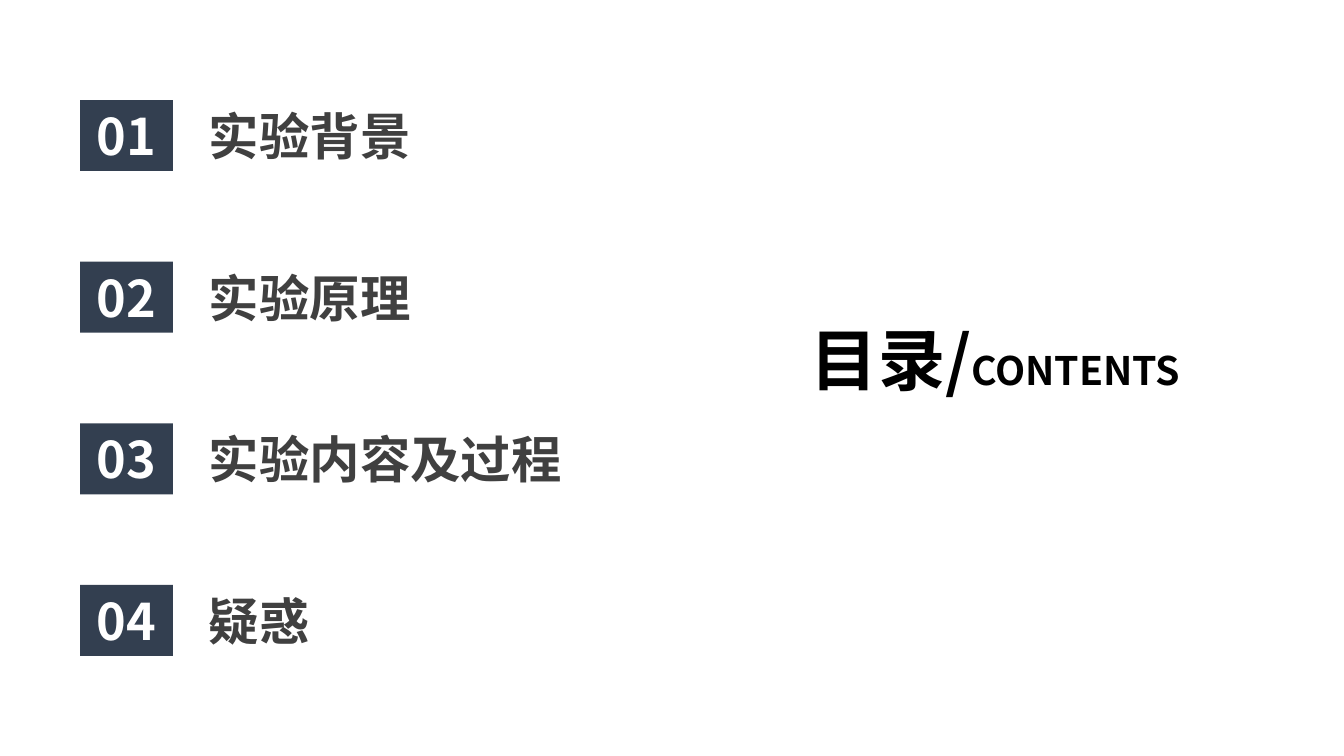
from pptx import Presentation
from pptx.dml.color import RGBColor
from pptx.enum.shapes import MSO_SHAPE
from pptx.enum.text import MSO_ANCHOR, PP_ALIGN
from pptx.oxml.ns import qn
from pptx.util import Pt
from lxml.etree import SubElement

# Content
TOPICS = ["实验背景", "实验原理", "实验内容及过程", "疑惑"]
HEADING = [("目录/", "heading"), ("CONTENTS", "subheading")]

# Look and layout, lengths in px
THEME = {
    "font": "Noto Sans CJK SC",
    "badge": RGBColor(0x33, 0x3F, 0x50),
    "styles": {
        "number": (36, RGBColor(0xFF, 0xFF, 0xFF)),
        "topic": (36, RGBColor(0x40, 0x40, 0x40)),
        "heading": (48, RGBColor(0, 0, 0)),
        "subheading": (28, RGBColor(0, 0, 0)),
    },
}
PAGE_SIZE = (1344, 756)
FIRST_TOP, LAST_TOP, ROW_HEIGHT = 100, 585, 71
BADGE_LEFT, BADGE_WIDTH = 80, 93
TOPIC_LEFT, TOPIC_WIDTH = 199, 504
HEADING_AREA = (801, 313, 417, 92)


def px(length):
    return round(length * 914400 / 100.8)


def write(box, spans, align):
    frame = box.text_frame
    frame.word_wrap = True
    frame.vertical_anchor = MSO_ANCHOR.MIDDLE
    para = frame.paragraphs[0]
    para.alignment = align
    for text, style in spans:
        span = para.add_run()
        span.text = text
        size, color = THEME["styles"][style]
        span.font.size = Pt(size)
        span.font.bold = True
        span.font.color.rgb = color
        span.font.name = THEME["font"]
        east_asian = SubElement(span.font._element, qn("a:ea"))
        east_asian.set("typeface", THEME["font"])


def add_text(page, area, spans, align):
    box = page.shapes.add_textbox(*map(px, area))
    write(box, spans, align)


def add_badge(page, area, number):
    badge = page.shapes.add_shape(MSO_SHAPE.RECTANGLE, *map(px, area))
    badge.shadow.inherit = False
    badge.fill.solid()
    badge.fill.fore_color.rgb = THEME["badge"]
    badge.line.fill.background()
    write(badge, [(f"{number:02}", "number")], PP_ALIGN.CENTER)


def main():
    deck = Presentation()
    deck.slide_width, deck.slide_height = map(px, PAGE_SIZE)
    page = deck.slides.add_slide(deck.slide_layouts[6])

    # Heading on the right
    add_text(page, HEADING_AREA, HEADING, PP_ALIGN.JUSTIFY)

    # Numbered topics, evenly spaced
    pitch = (LAST_TOP - FIRST_TOP) / (len(TOPICS) - 1)
    for row, topic in enumerate(TOPICS):
        top = FIRST_TOP + row * pitch
        add_badge(page, (BADGE_LEFT, top, BADGE_WIDTH, ROW_HEIGHT), row + 1)
        add_text(page, (TOPIC_LEFT, top, TOPIC_WIDTH, ROW_HEIGHT),
                 [(topic, "topic")], PP_ALIGN.LEFT)

    deck.save("out.pptx")


if __name__ == "__main__":
    main()
